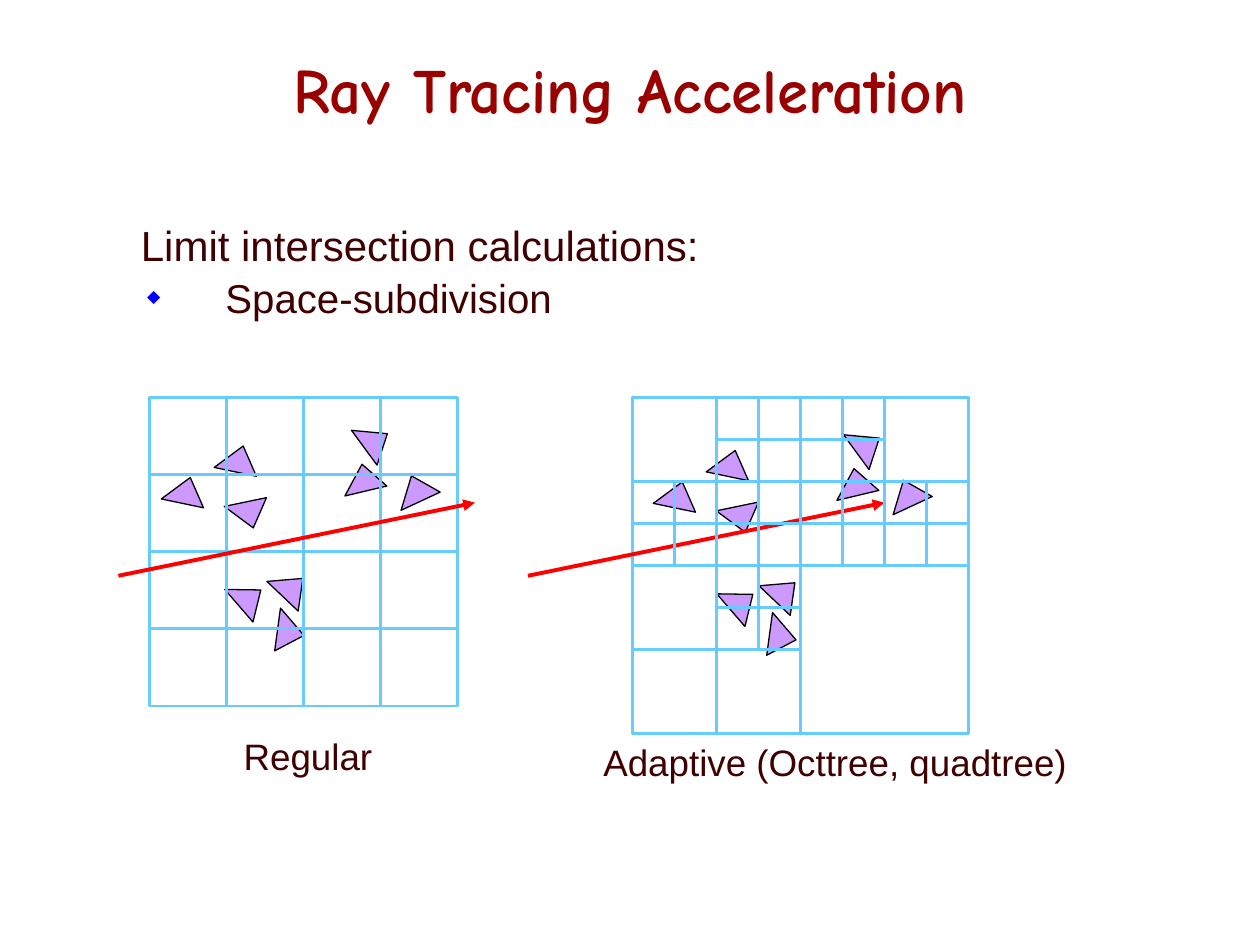
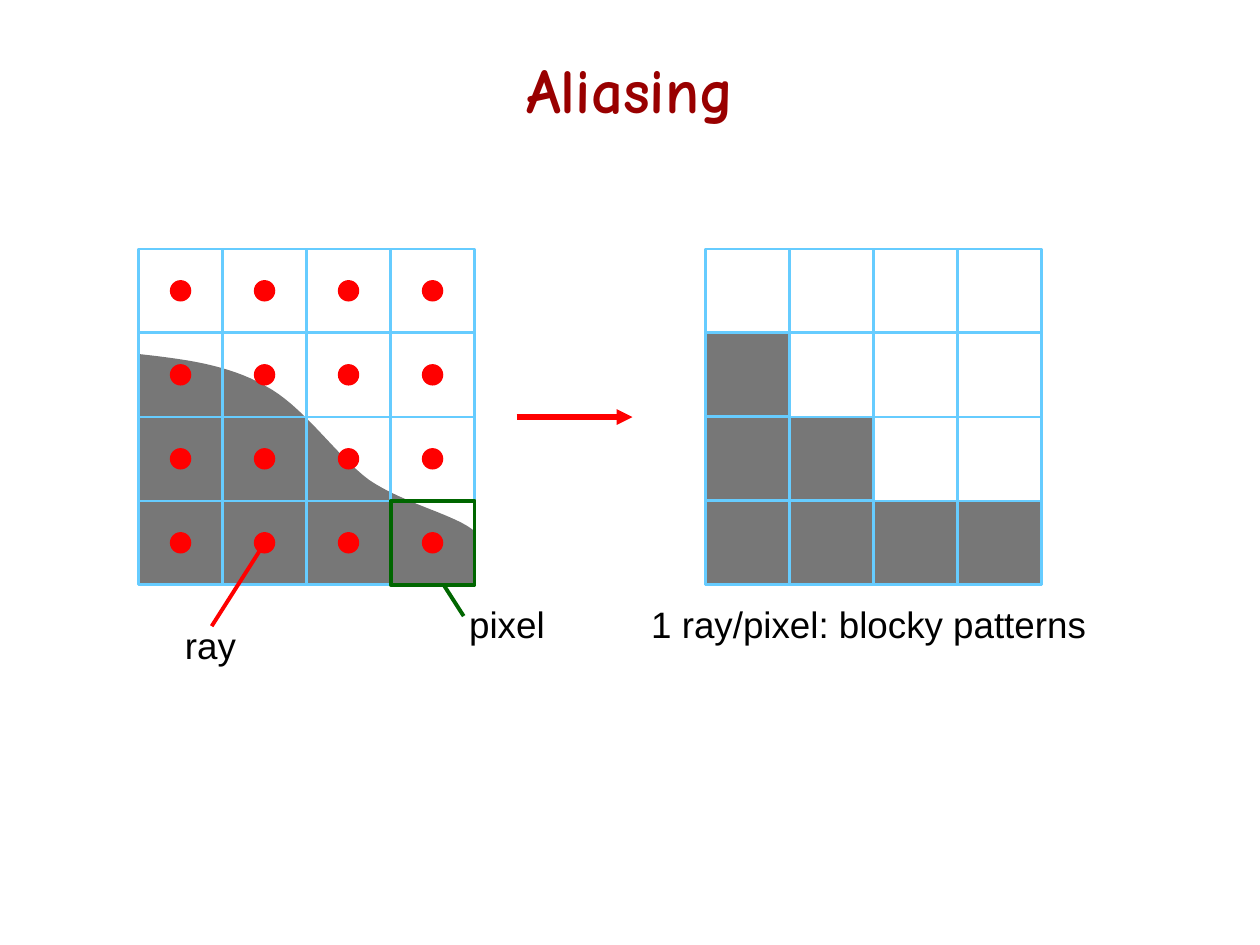
from itertools import product

from lxml.etree import SubElement
from pptx import Presentation
from pptx.dml.color import RGBColor
from pptx.enum.shapes import MSO_CONNECTOR as Conn, MSO_SHAPE as Kind
from pptx.enum.text import MSO_ANCHOR as Anchor, PP_ALIGN as Align
from pptx.oxml.ns import qn
from pptx.util import Inches, Pt

COLS, ROWS = 100, 75
RED, BLUE, GRAY, GREEN = "FF0000", "66CCFF", "777777", "006600"
LILAC, BROWN, BLACK, WINE = "CC99FF", "400000", "000000", "990000"

# One triangle, then each placement: column, row, turn, flipped or not
CORNERS = [(2.3, 0), (3.35, 2.4), (0, 1.7)]
TRIS = [
    (12.8, 37.9, 0, False), (17, 35.4, 0, False), (17.8, 39.5, 0, True),
    (27.8, 33.7, 41.9, False), (27, 37, 334.8, False),
    (31.2, 37.9, 323.2, False), (17.8, 46.2, 37.4, False),
    (21.2, 45.4, 31.7, False), (21.2, 48.7, 85.9, False),
]
# Quadtree cells to split, in eighths of the square: column, row, size
SPLITS = [(0, 0, 4), (4, 0, 4), (0, 4, 4), (2, 4, 2), (0, 2, 2),
          (2, 0, 2), (4, 0, 2), (2, 2, 2), (4, 2, 2), (6, 2, 2)]
# Edge of the gray area: start, then two handles and an end per curve
START = (11, 28.1)
CURVES = [
    [(14.5, 28.5), (18, 28.9), (21, 30.6)],
    [(24.1, 32.2), (26.6, 36.1), (29.3, 38.1)],
    [(32.1, 40), (36.3, 40.9), (37.7, 42.2)],
]


def paint(color):
    return RGBColor.from_string(color)


def bend(a, b, c, d, steps=16):
    """Points along a cubic curve, without its first point."""
    for i in range(1, steps + 1):
        t = i / steps
        s = 1 - t
        yield tuple(s**3 * p + 3 * s * s * t * q + 3 * s * t * t * r + t**3 * w
                    for p, q, r, w in zip(a, b, c, d))


class Deck:
    def __init__(self):
        self.prs = Presentation()
        self.prs.slide_width, self.prs.slide_height = Inches(10), Inches(7.5)

    def x(self, cols):
        return round(self.prs.slide_width * cols / COLS)

    def y(self, rows):
        return round(self.prs.slide_height * rows / ROWS)

    def area(self, x, y, w, h):
        return self.x(x), self.y(y), self.x(w), self.y(h)

    def slide(self, title):
        slide = self.prs.slides.add_slide(self.prs.slide_layouts[5])
        self.shapes = slide.shapes
        head = self.shapes.title
        head.left, head.top, head.width, head.height = self.area(7.5, 2.5, 85, 9)
        head.text_frame.vertical_anchor = Anchor.MIDDLE
        par = head.text_frame.paragraphs[0]
        par.alignment = Align.CENTER
        self.run(par, title, 36, WINE, "Comic Neue", True)

    def run(self, par, text, size, color, face="Arial", bold=False):
        run = par.add_run()
        run.text = text
        font = run.font
        font.size, font.name, font.bold = Pt(size), face, bold
        font.color.rgb = paint(color)

    def frame(self, x, y, w, h, wrap=False):
        frame = self.shapes.add_textbox(*self.area(x, y, w, h)).text_frame
        frame.word_wrap = wrap
        return frame

    def label(self, text, x, y, w, h=4.5, color=BLACK):
        self.run(self.frame(x, y, w, h).paragraphs[0], text, 21, color)

    def points(self, lead, items, x, y, w, h):
        """A lead line with diamond bullets below it."""
        frame = self.frame(x, y, w, h, True)
        par = frame.paragraphs[0]
        par.line_spacing = 0.9
        self.run(par, lead, 24, BROWN)
        for item in items:
            par = frame.add_paragraph()
            par.line_spacing, par.space_before = 0.9, Pt(4.7)
            props = par._p.get_or_add_pPr()
            props.set("marL", str(self.x(6.7)))
            props.set("indent", str(-self.x(6.2)))
            tint = SubElement(props, qn("a:buClr"))
            SubElement(tint, qn("a:srgbClr"), val="0000FF")
            SubElement(props, qn("a:buSzPct"), val="43000")
            SubElement(props, qn("a:buChar"), char="◆")
            self.run(par, item, 23, BROWN)

    def style(self, shape, fill, line, width):
        shape.shadow.inherit = False
        if fill:
            shape.fill.solid()
            shape.fill.fore_color.rgb = paint(fill)
        else:
            shape.fill.background()
        if line:
            shape.line.color.rgb = paint(line)
            shape.line.width = Pt(width)
        else:
            shape.line.fill.background()

    def box(self, x, y, w, h, fill=None, line=BLUE, width=1.5, kind=Kind.RECTANGLE):
        shape = self.shapes.add_shape(kind, *self.area(x, y, w, h))
        self.style(shape, fill, line, width)

    def dot(self, x, y, size):
        self.box(x - size / 2, y - size / 2, size, size, RED, None, kind=Kind.OVAL)

    def line(self, x1, y1, x2, y2, color=BLUE, width=1.5, arrow=False):
        link = self.shapes.add_connector(
            Conn.STRAIGHT, self.x(x1), self.y(y1), self.x(x2), self.y(y2))
        link.line.color.rgb = paint(color)
        link.line.width = Pt(width)
        if arrow:
            SubElement(link.line._get_or_add_ln(), qn("a:tailEnd"), type="triangle")
        SubElement(link._element.spPr, qn("a:effectLst"))

    def shape(self, dots, fill, line=None, width=0.75, turn=0):
        dots = [(self.x(x), self.y(y)) for x, y in dots]
        pen = self.shapes.build_freeform(*dots[0])
        pen.add_line_segments(dots[1:], close=True)
        form = pen.convert_to_shape()
        form.rotation = turn
        self.style(form, fill, line, width)

    def scene(self, dx=0, dy=0):
        """The nine triangles, moved by dx and dy."""
        for x, y, turn, flip in TRIS:
            dots = [(x + dx + a, y + dy + (2.4 - b if flip else b))
                    for a, b in CORNERS]
            self.shape(dots, LILAC, BLACK, turn=turn)

    def grid(self, x, y, size, count=4):
        self.box(x, y, size, size)
        for i in range(1, count):
            step = size * i / count
            self.line(x, y + step, x + size, y + step)
            self.line(x + step, y, x + step, y + size)

    def tree(self, x, y, unit):
        """Quadtree lines: two opposite quarters outline each split."""
        quads = [(0, 4, 4), (4, 0, 4)]
        for col, row, size in SPLITS:
            half = size / 2
            quads += [(col, row, half), (col + half, row + half, half)]
        for col, row, size in quads:
            self.box(x + col * unit, y + row * unit, size * unit, size * unit)


def speed(deck):
    deck.slide("Ray Tracing Acceleration")
    deck.points("Limit intersection calculations:", ["Space-subdivision"],
                10.2, 17.4, 55, 11.7)
    top, cell, unit = 31.55, 6.12, 10 / 3
    deck.scene()
    deck.label("Regular", 18.35, 57.75, 13, 4.8, BROWN)
    for row, col in product(range(4), repeat=2):
        deck.box(11.85 + col * cell, top + row * cell, cell, cell)
    deck.line(9.4, 45.7, 37.7, 39.9, RED, 2.25, True)

    deck.scene(39.05, 0.35)
    deck.box(50.2, top, 8 * unit, 8 * unit)
    deck.label("Adaptive (Octtree, quadtree)", 46.9, 58.2, 42, 5.8, BROWN)
    deck.line(41.9, 45.7, 70.2, 39.9, RED, 2.25, True)
    deck.tree(50.2, top, unit)


def alias(deck):
    deck.slide("Aliasing")
    left, right, top, cell = 11, 56, 19.75, 20 / 3
    size = 4 * cell
    edge = [START]
    for curve in CURVES:
        edge += bend(edge[-1], *curve)
    deck.shape(edge + [(left + size, top + size), (left, top + size)], GRAY)
    deck.grid(left, top, size)
    for row, col in product(range(4), repeat=2):
        deck.dot(left + (col + 0.5) * cell, top + (row + 0.5) * cell, 1.7)
    deck.label("pixel", 36.25, 47.25, 9)
    deck.label("ray", 13.7, 48.9, 7)
    deck.box(left + 3 * cell, top + 3 * cell, cell, cell, line=GREEN, width=2.25)
    deck.line(35.2, 46.4, 36.8, 48.9, GREEN, 2.25)
    deck.line(16.8, 49.7, 21, 43.1, RED, 2.25)

    for row, count in ((3, 4), (2, 2), (1, 1)):
        deck.box(right, top + row * cell, count * cell, cell, GRAY)
    deck.grid(right, top, size)
    deck.line(41, 33.1, 50.2, 33.1, RED, 3, True)
    deck.label("1 ray/pixel: blocky patterns", 50.7, 47.25, 38)


def main():
    deck = Deck()
    speed(deck)
    alias(deck)
    deck.prs.save("out.pptx")


if __name__ == "__main__":
    main()
